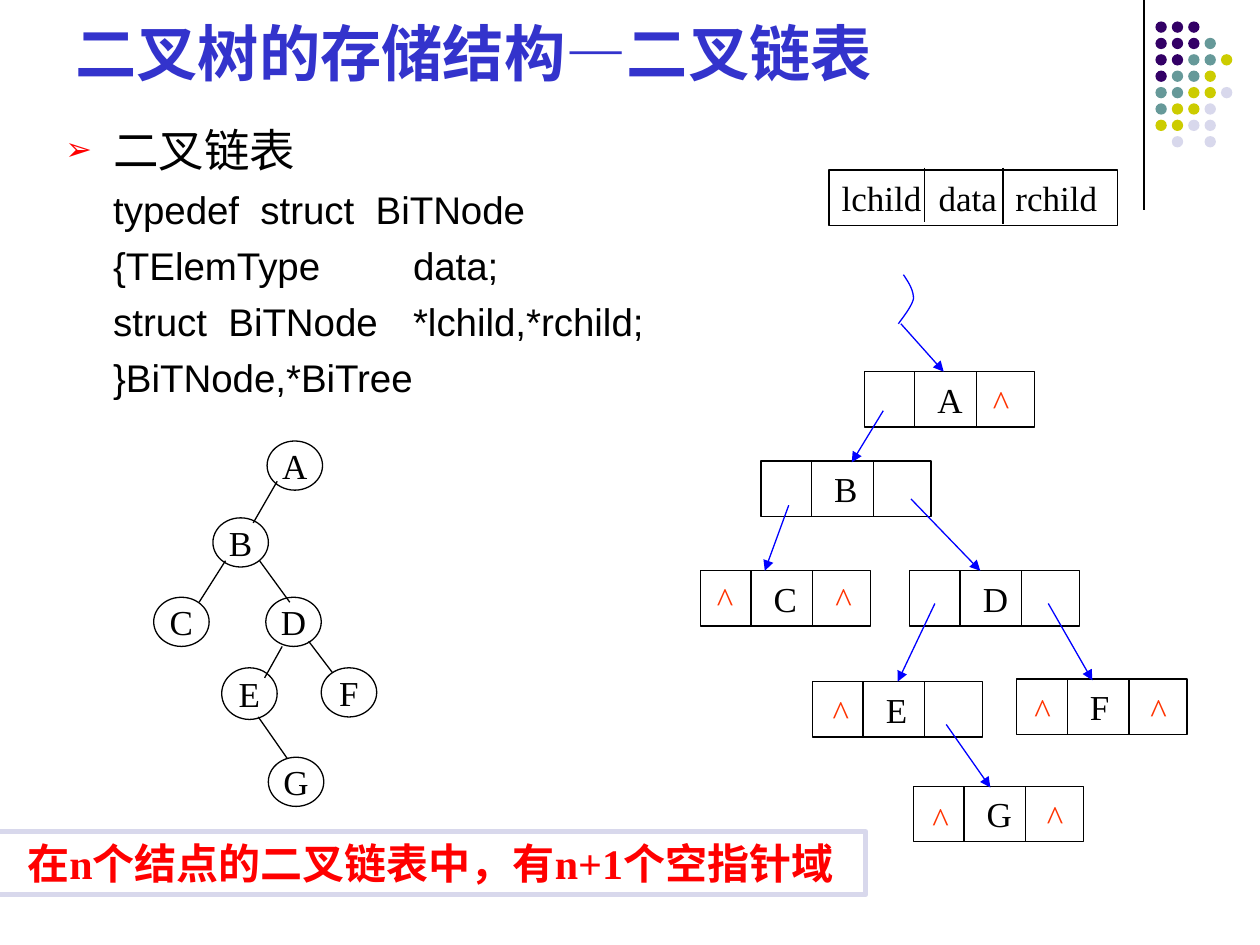
from lxml.etree import SubElement
from pptx import Presentation
from pptx.dml.color import RGBColor
from pptx.enum.shapes import MSO_CONNECTOR, MSO_SHAPE
from pptx.enum.text import MSO_ANCHOR, PP_ALIGN
from pptx.oxml.ns import qn
from pptx.util import Inches, Pt

BLACK = RGBColor(0x00, 0x00, 0x00)
RED = RGBColor(0xFF, 0x00, 0x00)
NULL_RED = RGBColor(0xFF, 0x33, 0x00)
LINK_BLUE = RGBColor(0x00, 0x00, 0xFF)
TITLE_BLUE = RGBColor(0x33, 0x33, 0xCC)
PALE = RGBColor(0xD8, 0xD8, 0xEC)
DOT_COLORS = {
    "P": RGBColor(0x33, 0x00, 0x66),
    "T": RGBColor(0x66, 0x99, 0x99),
    "Y": RGBColor(0xCC, 0xCC, 0x00),
    "L": PALE,
}
SERIF = "Times New Roman"
SANS = "Arial"

TITLE = "二叉树的存储结构—二叉链表"
TOPIC = "二叉链表"
CODE = [
    "typedef  struct  BiTNode",
    "{TElemType\tdata;",
    "struct  BiTNode\t*lchild,*rchild;",
    "}BiTNode,*BiTree",
]
CONCLUSION = "在n个结点的二叉链表中，有n+1个空指针域"
# name, left edge of its text
FIELDS = [("lchild", 6.68), ("data", 7.45), ("rchild", 8.06)]
DOT_ROWS = ["PPP", "PPPT", "PPTTY", "PTTY", "TTYYL", "TYYL", "YYLL", " L L"]

# letter: left, top, height
TREE_NODES = {
    "A": (2.12, 3.5, 0.39),
    "B": (1.69, 4.11, 0.39),
    "C": (1.22, 4.74, 0.39),
    "D": (2.11, 4.74, 0.39),
    "E": (1.76, 5.3, 0.41),
    "F": (2.55, 5.3, 0.39),
    "G": (2.13, 6.01, 0.39),
}
TREE_EDGES = [
    ((2.2, 3.82), (2.01, 4.15)),
    ((1.79, 4.45), (1.58, 4.78)),
    ((2.06, 4.45), (2.3, 4.78)),
    ((2.24, 5.13), (2.1, 5.38)),
    ((2.45, 5.09), (2.64, 5.34)),
    ((2.05, 5.69), (2.28, 6.02)),
]
# letter: left, top, offsets of the null marks
RECORDS = {
    "A": (6.86, 2.95, [(0.92, 0.02)]),
    "B": (6.04, 3.66, []),
    "C": (5.56, 4.53, [(0.03, 0), (0.97, 0)]),
    "D": (7.22, 4.53, []),
    "E": (6.45, 5.41, [(0.06, 0.02)]),
    "F": (8.07, 5.39, [(0.04, 0.02), (0.96, 0.02)]),
    "G": (7.25, 6.24, [(0.05, 0.04), (0.96, 0.02)]),
}
# start, end, record pointed at
POINTERS = [
    ((7.15, 2.57), (7.49, 2.95), "A"),
    ((7.01, 3.26), (6.76, 3.67), "B"),
    ((6.26, 4.01), (6.07, 4.53), "C"),
    ((7.23, 3.96), (7.78, 4.53), "D"),
    ((7.42, 4.79), (7.11, 5.4), "E"),
    ((8.32, 4.79), (8.67, 5.4), "F"),
    ((7.51, 5.75), (7.86, 6.25), "G"),
]
ROOT_CURVE = [
    [(7.17, 2.18), (7.21, 2.24), (7.25, 2.3), (7.25, 2.37)],
    [(7.25, 2.37), (7.24, 2.43), (7.15, 2.54), (7.13, 2.57)],
]
RECORD_W, RECORD_H = 1.35, 0.44
CELL_BORDERS = (0.4, 0.89)
DOT, DOT_STEP = 0.09, 0.13

prs = Presentation()
prs.slide_width, prs.slide_height = Inches(10), Inches(7.5)
slide = prs.slides.add_slide(prs.slide_layouts[6])


def write(paragraph, text, size, color=BLACK, name=SERIF, bold=False):
    paragraph.text = text
    style = {"size": Pt(size), "name": name, "bold": bold}
    for key, value in style.items():
        setattr(paragraph.font, key, value)
    paragraph.font.color.rgb = color


def set_frame(holder, anchor=MSO_ANCHOR.MIDDLE, wrap=False, align=PP_ALIGN.CENTER):
    frame = holder.text_frame
    frame.vertical_anchor, frame.word_wrap = anchor, wrap
    frame.paragraphs[0].alignment = align
    return frame


def add_text_box(left, top, width, height, **layout):
    box = slide.shapes.add_textbox(*map(Inches, (left, top, width, height)))
    return set_frame(box, **layout)


def add_outline(kind, left, top, width, height, color=BLACK, weight=0.75):
    shape = slide.shapes.add_shape(kind, *map(Inches, (left, top, width, height)))
    shape.shadow.inherit = False
    shape.fill.background()
    shape.line.color.rgb, shape.line.width = color, Pt(weight)
    return shape


def add_line(start, end, color=BLACK, arrow=False):
    line = slide.shapes.add_connector(
        MSO_CONNECTOR.STRAIGHT, *map(Inches, (*start, *end)))
    line.line.color.rgb, line.line.width = color, Pt(0.75)
    if arrow:
        SubElement(line.line._get_or_add_ln(), qn("a:tailEnd"), type="triangle")
    SubElement(line._element.spPr, qn("a:effectLst"))
    return line


def set_indent(paragraph, left, first):
    """Set a hanging indent and tab stops one inch apart."""
    props = paragraph._p.get_or_add_pPr()
    for key, value in {"marL": left, "indent": first, "defTabSz": 1}.items():
        props.set(key, str(Inches(value)))
    return props


def bezier_points(p0, p1, p2, p3, steps=10):
    for t in (i / steps for i in range(steps + 1)):
        u = 1 - t
        yield tuple(Inches(u**3 * a + 3 * u * u * t * b + 3 * u * t * t * c + t**3 * d)
                    for a, b, c, d in zip(p0, p1, p2, p3))


# Corner decoration
add_line((9.08, 0), (9.08, 1.67))
for row, marks in enumerate(DOT_ROWS):
    for column, mark in enumerate(marks):
        if mark in DOT_COLORS:
            dot = add_outline(MSO_SHAPE.OVAL, 9.17 + column * DOT_STEP,
                              0.17 + row * DOT_STEP, DOT, DOT)
            dot.fill.solid()
            dot.fill.fore_color.rgb = DOT_COLORS[mark]
            dot.line.fill.background()

# Title and type definition
title = add_text_box(0.5, 0.13, 8.42, 0.62, anchor=MSO_ANCHOR.BOTTOM,
                     wrap=True, align=PP_ALIGN.LEFT)
write(title.paragraphs[0], TITLE, 35, TITLE_BLUE, SANS, True)

definition = add_text_box(0.42, 0.92, 6.5, 2.33, anchor=MSO_ANCHOR.TOP,
                          wrap=True, align=PP_ALIGN.LEFT)
topic = definition.paragraphs[0]
topic_props = set_indent(topic, 0.38, -0.38)
bullet_color = SubElement(topic_props, qn("a:buClr"))
SubElement(bullet_color, qn("a:srgbClr"), val=str(RED))
SubElement(topic_props, qn("a:buSzPct"), val="70000")
SubElement(topic_props, qn("a:buFont"), typeface=SANS)
SubElement(topic_props, qn("a:buChar"), char="➢")
write(topic, TOPIC, 26, name=SANS)
for code_line in CODE:
    paragraph = definition.add_paragraph()
    set_indent(paragraph, 0.76, -0.38)
    paragraph.space_before = Pt(5.5)
    write(paragraph, code_line, 22, name=SANS)

# Binary tree
for letter, (left, top, height) in TREE_NODES.items():
    node = add_outline(MSO_SHAPE.OVAL, left, top, 0.44, height)
    write(set_frame(node).paragraphs[0], letter, 20)
for start, end in TREE_EDGES:
    add_line(start, end)

# Conclusion
banner = add_outline(MSO_SHAPE.RECTANGLE, -0.04, 6.6, 6.91, 0.5, PALE, 3)
write(set_frame(banner).paragraphs[0], CONCLUSION, 24, RED, bold=True)

# Record layout
add_outline(MSO_SHAPE.RECTANGLE, 6.58, 1.35, 2.29, 0.44)
for field, left in FIELDS:
    field_label = add_text_box(left, 1.35, 0.7, 0.44, align=PP_ALIGN.LEFT)
    field_label.margin_left = field_label.margin_right = 0
    write(field_label.paragraphs[0], field, 20)
for x, bottom in ((7.34, 1.76), (7.96, 1.78)):
    add_line((x, 1.33), (x, bottom))

# Linked records
records = {}
for letter, (left, top, nulls) in RECORDS.items():
    records[letter] = add_outline(MSO_SHAPE.RECTANGLE, left, top, RECORD_W, RECORD_H)
    label = set_frame(records[letter], wrap=True, align=PP_ALIGN.LEFT)
    label.margin_left = Inches(0.58)
    write(label.paragraphs[0], letter, 20)
    for border in CELL_BORDERS:
        add_line((left + border, top), (left + border, top + RECORD_H))
    for dx, dy in nulls:
        null_mark = add_text_box(left + dx, top + dy, 0.33, 0.44)
        write(null_mark.paragraphs[0], "^", 20, NULL_RED)

for start, end, target in POINTERS:
    pointer = add_line(start, end, LINK_BLUE, arrow=True)
    if abs(end[0] - RECORDS[target][0] - RECORD_W / 2) < 0.02:
        pointer.end_connect(records[target], 0)

curve_points = [point for segment in ROOT_CURVE for point in bezier_points(*segment)]
builder = slide.shapes.build_freeform(*curve_points[0])
builder.add_line_segments(curve_points[1:], close=False)
root_curve = builder.convert_to_shape()
root_curve.shadow.inherit = False
root_curve.fill.background()
root_curve.line.color.rgb, root_curve.line.width = LINK_BLUE, Pt(0.75)

prs.save("out.pptx")
